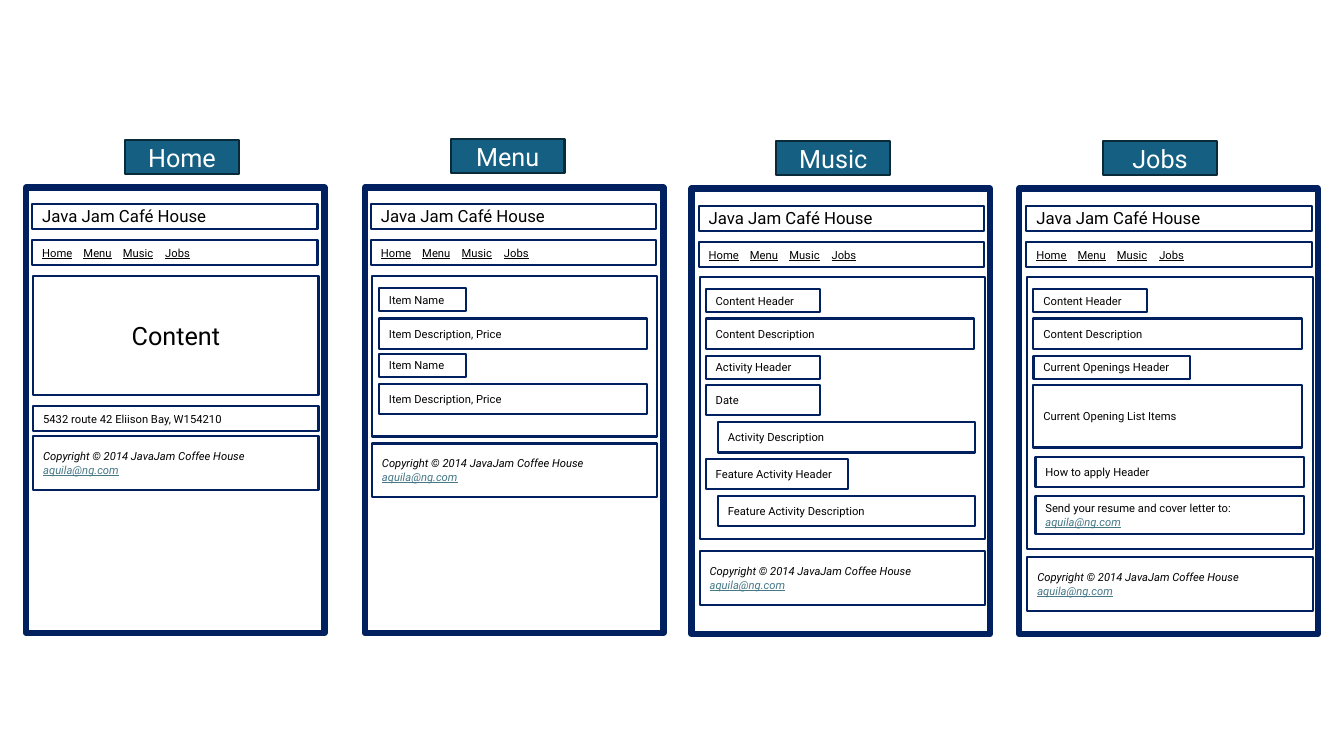
from dataclasses import dataclass

from lxml.etree import SubElement
from pptx import Presentation
from pptx.dml.color import RGBColor
from pptx.enum.shapes import MSO_SHAPE
from pptx.enum.text import MSO_ANCHOR, PP_ALIGN
from pptx.oxml.ns import qn
from pptx.util import Pt

PX = 9144  # EMU per px, 100 px to the inch


@dataclass(frozen=True)
class Theme:
    font: str = "Roboto"
    navy: str = "002060"
    teal: str = "156082"
    teal_edge: str = "092A39"
    ink: str = "000000"
    paper: str = "FFFFFF"
    link: str = "467886"
    small: int = 8
    medium: int = 12
    large: int = 18
    thin: float = 1.5
    thick: float = 4.5


THEME = Theme()
SITE = "Java Jam Café House"
EMAIL = "aquila@ng.com"
COPYRIGHT = f"Copyright © 2014 JavaJam Coffee House\v{EMAIL}"
ADDRESS = "5432 route 42 Eliison Bay, W154210"
NAV_STOPS = (41, 80, 122)
WIDE = 283


@dataclass(frozen=True)
class Wireframe:
    name: str
    left: int
    top: int
    inset: int
    tag_top: int
    panel_height: int
    footer_top: int
    blocks: tuple = ()  # text, left within the panel, top, width, height


WIREFRAMES = (
    Wireframe("Home", 26, 186, 6, 139, 118, 433),
    Wireframe("Menu", 362, 186, 6, 138, 159, 440, tuple(
        block for top in (286, 351) for block in (
            ("Item Name", 7, top, 86, 23),
            ("Item Description, Price", 7, top + 30, 266, 30)))),
    Wireframe("Music", 686, 187, 7, 140, 260, 547, (
        ("Content Header", 6, 287, 113, 23),
        ("Content Description", 6, 316, 266, 30),
        ("Activity Header", 6, 353, 113, 23),
        ("Date", 6, 382, 113, 30),
        ("Activity Description", 18, 419, 255, 30),
        ("Feature Activity Header", 6, 455, 141, 30),
        ("Feature Activity Description", 18, 492, 255, 30))),
    Wireframe("Jobs", 1011, 187, 7, 140, 270, 553, (
        ("Content Header", 6, 287, 113, 23),
        ("Content Description", 6, 316, 266, 30),
        ("Current Openings Header", 6, 353, 155, 23),
        ("Current Opening List Items", 6, 382, 266, 62),
        ("How to apply Header", 8, 453, 266, 30),
        (f"Send your resume and cover letter to:\n{EMAIL}", 8, 492, 266, 38))),
)


def style_span(span, size, color, italic=False):
    is_link = span.text == EMAIL
    span.font.name = THEME.font
    span.font.size = Pt(size)
    span.font.color.rgb = RGBColor.from_string(THEME.link if is_link else color)
    span.font.italic = italic or is_link
    span.font.underline = is_link


def add_box(page, left, top, width, height, text="", size=THEME.small,
            color=THEME.ink, align=PP_ALIGN.LEFT, italic=False,
            fill=None, edge=THEME.navy, weight=THEME.thin):
    box = page.shapes.add_shape(
        MSO_SHAPE.RECTANGLE, *(length * PX for length in (left, top, width, height)))
    box.shadow.inherit = False
    if fill:
        box.fill.solid()
        box.fill.fore_color.rgb = RGBColor.from_string(fill)
    else:
        box.fill.background()
    box.line.color.rgb = RGBColor.from_string(edge)
    box.line.width = Pt(weight)
    box.text_frame.vertical_anchor = MSO_ANCHOR.MIDDLE
    box.text_frame.text = text
    for para in box.text_frame.paragraphs:
        para.alignment = align
        for span in para.runs:
            style_span(span, size, color, italic)
    return box


def add_navigation(page, left, top):
    """Underlined page names set on tab stops."""
    para = add_box(page, left, top, WIDE, 25).text_frame.paragraphs[0]
    stops = SubElement(para._p.get_or_add_pPr(), qn("a:tabLst"))
    for stop in NAV_STOPS:
        SubElement(stops, qn("a:tab"), pos=str(stop * PX), algn="l")
    for index, wireframe in enumerate(WIREFRAMES):
        for text in ("\t", wireframe.name) if index else (wireframe.name,):
            span = para.add_run()
            span.text = text
            style_span(span, THEME.small, THEME.ink)
            span.font.underline = text != "\t"


def add_wireframe(page, wireframe):
    # Frame, site header and navigation
    add_box(page, wireframe.left, wireframe.top, 296, 442, weight=THEME.thick)
    left = wireframe.left + wireframe.inset
    top = wireframe.top + 10 + wireframe.inset
    add_box(page, left, top, WIDE, 25, SITE, THEME.medium)
    add_navigation(page, left, top + 36)

    # Content panel and its blocks
    panel_left = left + 1
    has_blocks = bool(wireframe.blocks)
    add_box(page, panel_left, wireframe.top + 88, WIDE, wireframe.panel_height,
            "" if has_blocks else "Content", THEME.large, align=PP_ALIGN.CENTER)
    for text, offset, block_top, width, height in wireframe.blocks:
        add_box(page, panel_left + offset, block_top, width, height, text)
    if not has_blocks:
        add_box(page, panel_left, 403, WIDE, 25, ADDRESS)

    # Footer
    add_box(page, panel_left, wireframe.footer_top, WIDE, 53, COPYRIGHT, italic=True)


def add_tag(page, index, wireframe):
    add_box(page, 124 + index * 970 // 3, wireframe.tag_top, 113, 34,
            wireframe.name, THEME.large, THEME.paper, PP_ALIGN.CENTER,
            fill=THEME.teal, edge=THEME.teal_edge)


def main():
    deck = Presentation()
    deck.slide_width, deck.slide_height = 1333 * PX, 750 * PX
    page = deck.slides.add_slide(deck.slide_layouts[6])
    for index, wireframe in enumerate(WIREFRAMES):
        add_wireframe(page, wireframe)
        add_tag(page, index, wireframe)
    deck.save("out.pptx")


if __name__ == "__main__":
    main()
